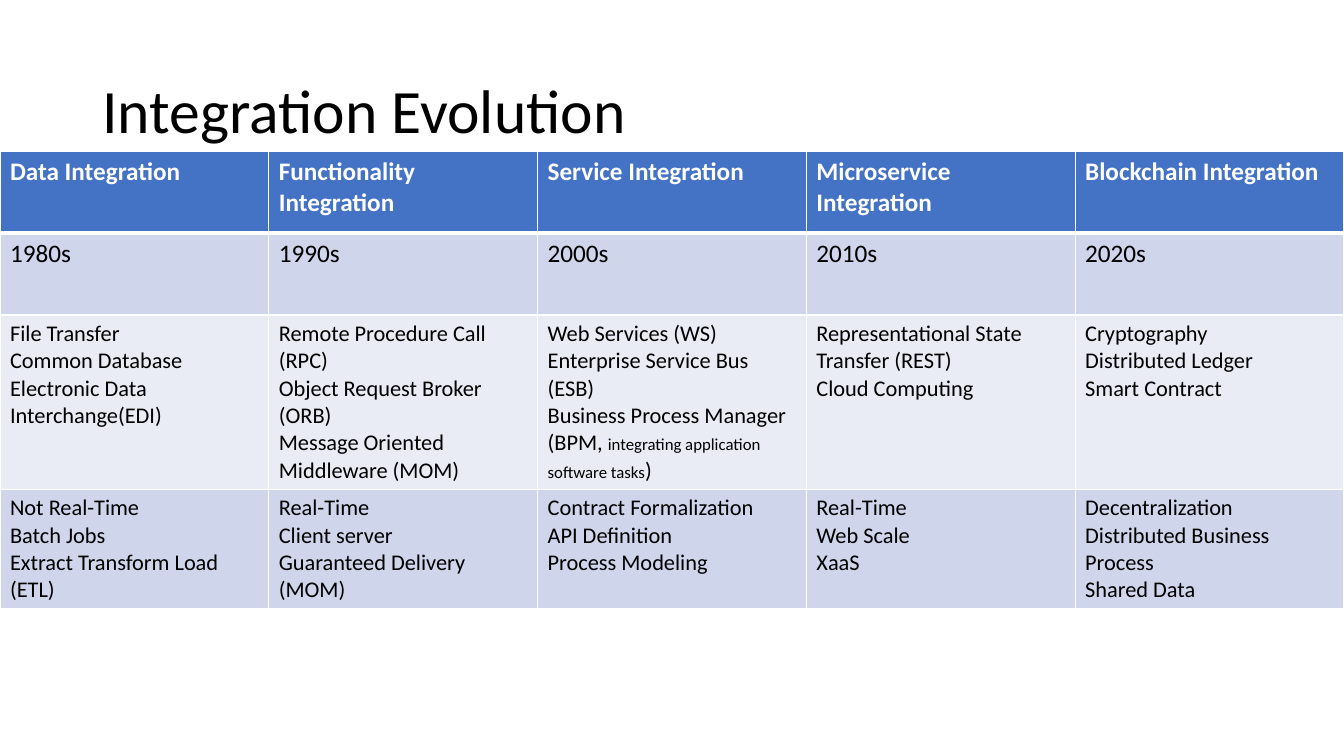
from lxml import etree
from pptx import Presentation
from pptx.dml.color import RGBColor
from pptx.enum import text
from pptx.oxml import ns
from pptx.util import Pt

WHITE = RGBColor(0xFF, 0xFF, 0xFF)
BLACK = RGBColor(0x00, 0x00, 0x00)
HEADER_BLUE = RGBColor(0x44, 0x72, 0xC4)
BAND_DARK = RGBColor(0xCF, 0xD5, 0xEA)
BAND_LIGHT = RGBColor(0xE9, 0xEB, 0xF5)
FONT = "Calibri"

# Each cell is a list of paragraphs; a paragraph split into runs is a list of (text, size)
ROWS = [
    [["Data Integration"], ["Functionality Integration"], ["Service Integration"],
     ["Microservice Integration"], ["Blockchain Integration"]],
    [["1980s"], ["1990s"], ["2000s"], ["2010s"], ["2020s"]],
    [["File Transfer", "Common Database", "Electronic Data Interchange(EDI)"],
     ["Remote Procedure Call (RPC)", "Object Request Broker (ORB)",
      "Message Oriented Middleware (MOM)"],
     ["Web Services (WS)", "Enterprise Service Bus (ESB)",
      [("Business Process Manager (BPM, ", 16),
       ("integrating application software tasks", 12), (")", 16)]],
     ["Representational State Transfer (REST)", "Cloud Computing"],
     ["Cryptography", "Distributed Ledger", "Smart Contract"]],
    [["Not Real-Time", "Batch Jobs", "Extract Transform Load (ETL)"],
     ["Real-Time", "Client server", "Guaranteed Delivery (MOM)"],
     ["Contract Formalization", "API Definition", "Process Modeling"],
     ["Real-Time", "Web Scale", "XaaS"],
     ["Decentralization", "Distributed Business Process", "Shared Data"]],
]
# Fill, text colour and text size of each row
ROW_STYLES = [(HEADER_BLUE, WHITE, 18), (BAND_DARK, BLACK, 18),
              (BAND_LIGHT, BLACK, 16), (BAND_DARK, BLACK, 16)]


def add_run(paragraph, words, size, color, bold=False):
    run = paragraph.add_run()
    run.text = words
    run.font.name = FONT
    run.font.size = Pt(size)
    run.font.color.rgb = color
    run.font.bold = bold


def add_border(cell, side, width):
    line = etree.SubElement(cell._tc.get_or_add_tcPr(), ns.qn("a:ln" + side), w=str(Pt(width)))
    fill = etree.SubElement(line, ns.qn("a:solidFill"))
    etree.SubElement(fill, ns.qn("a:srgbClr"), val=str(WHITE))


presentation = Presentation()
presentation.slide_width, presentation.slide_height = Pt(960), Pt(540)
slide = presentation.slides.add_slide(presentation.slide_layouts[5])

# Table of integration eras
table = slide.shapes.add_table(len(ROWS), len(ROWS[0]), Pt(0), Pt(108), Pt(960), Pt(234)).table
for row_index, (row, (fill, color, size)) in enumerate(zip(ROWS, ROW_STYLES)):
    for column_index, lines in enumerate(row):
        cell = table.cell(row_index, column_index)
        for side in "LRTB":
            header_edge = (row_index, side) in ((0, "B"), (1, "T"))
            add_border(cell, side, 3 if header_edge else 1)
        cell.fill.solid()
        cell.fill.fore_color.rgb = fill
        frame = cell.text_frame
        for line_index, line in enumerate(lines):
            paragraph = frame.add_paragraph() if line_index else frame.paragraphs[0]
            runs = [(line, size)] if isinstance(line, str) else line
            for words, run_size in runs:
                add_run(paragraph, words, run_size, color, row_index == 0)

# Title, in front of the table
title = slide.shapes.title
title.left, title.top, title.width, title.height = Pt(66), Pt(28.75), Pt(828), Pt(104.4)
slide.shapes._spTree.append(title._element)
title.text_frame.word_wrap = True
title.text_frame.auto_size = text.MSO_AUTO_SIZE.NONE
title.text_frame.vertical_anchor = text.MSO_ANCHOR.MIDDLE
paragraph = title.text_frame.paragraphs[0]
paragraph.alignment = text.PP_ALIGN.LEFT
paragraph.line_spacing = 0.9
add_run(paragraph, "Integration Evolution", 44, BLACK)

presentation.save("out.pptx")
